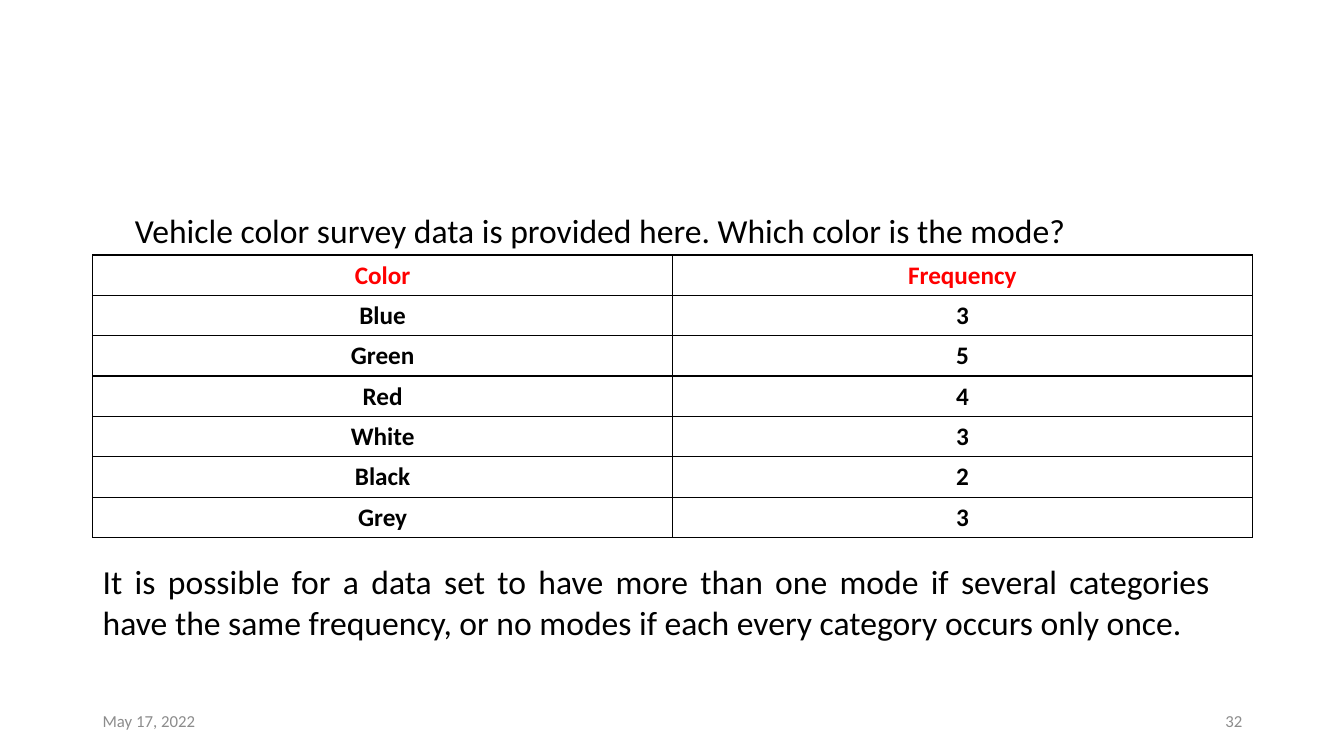
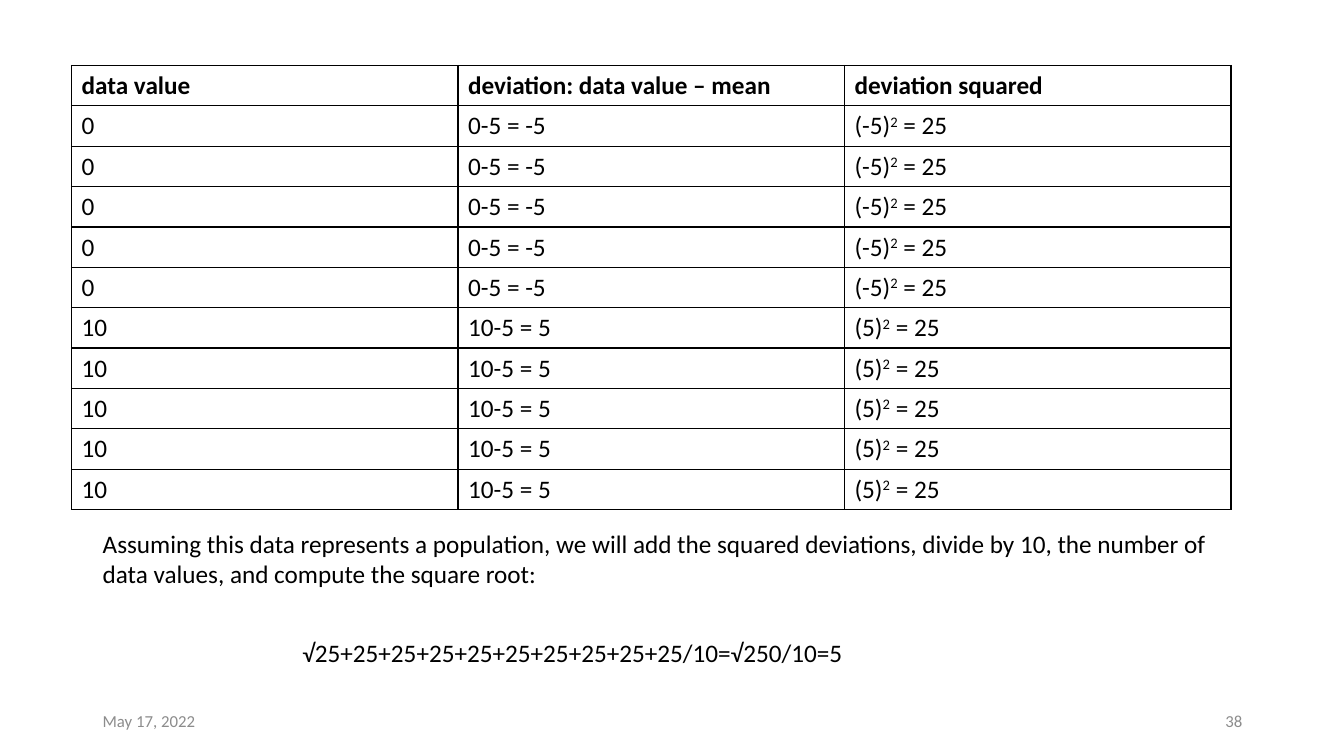
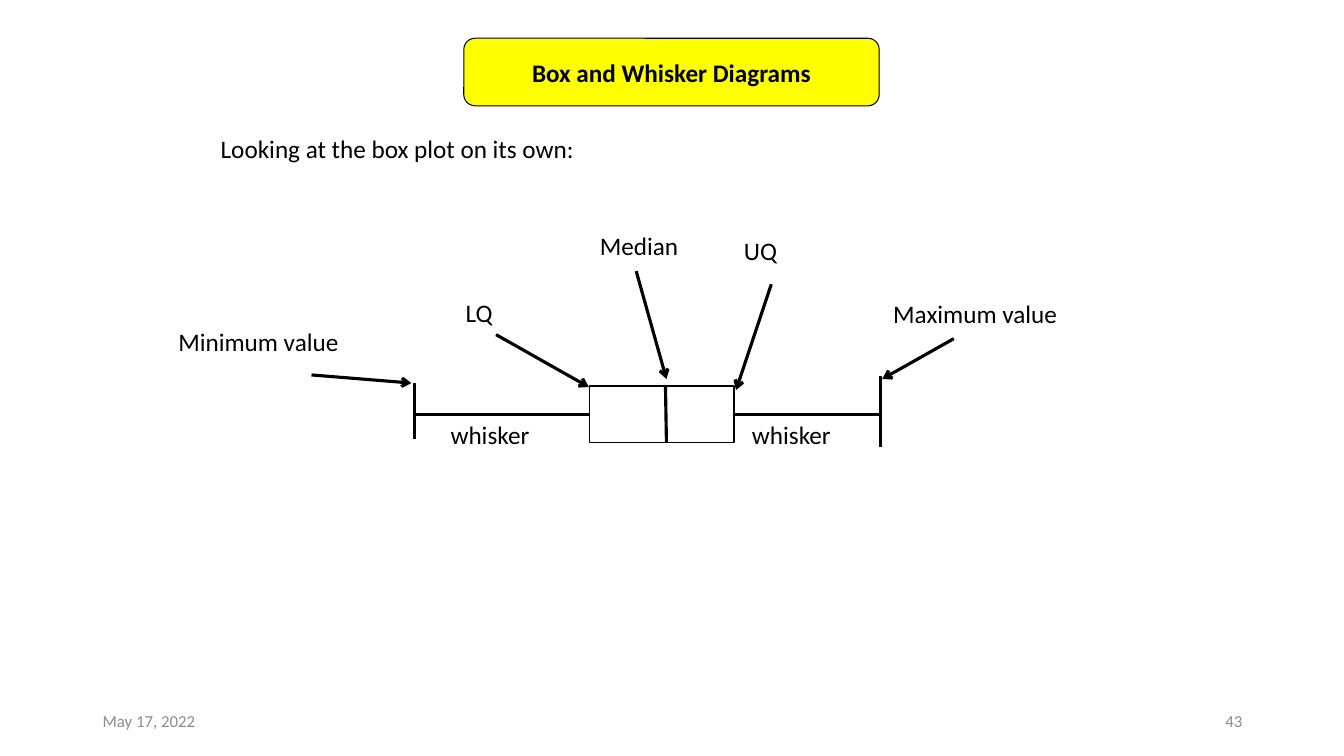
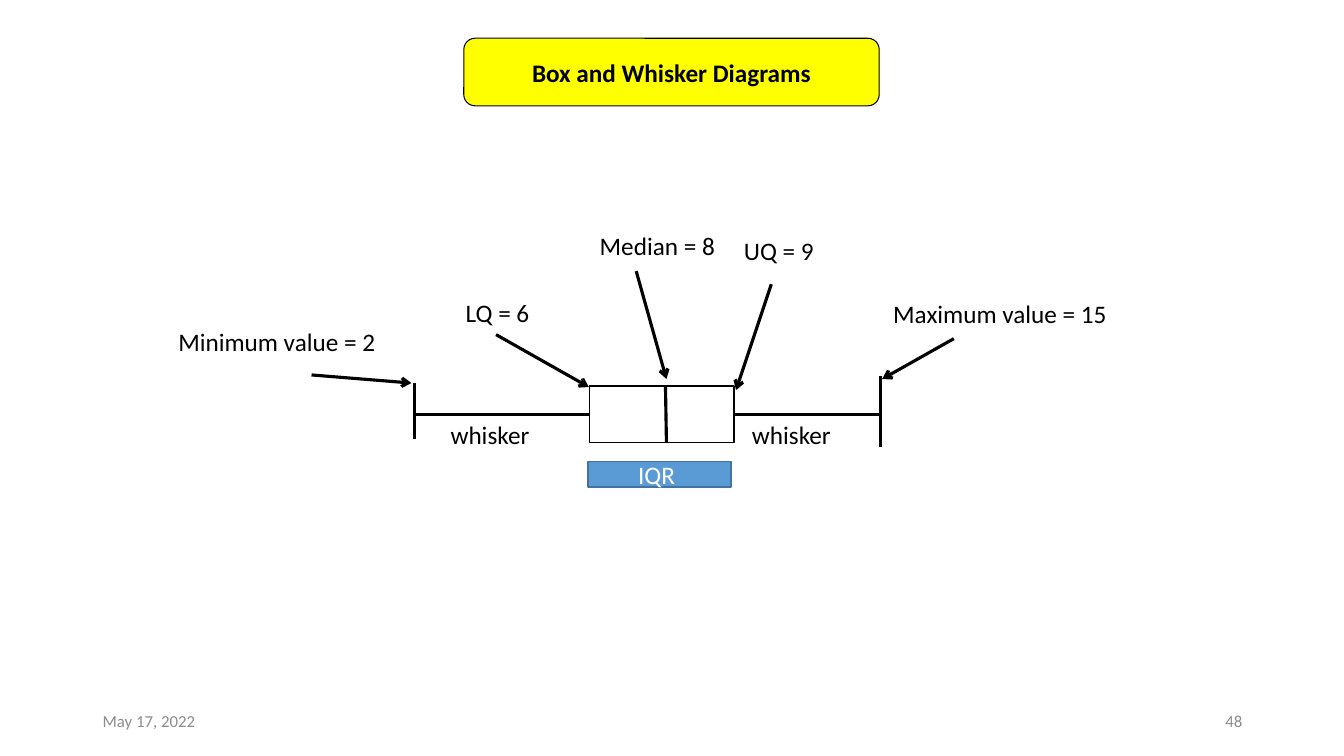
from lxml.etree import SubElement
from pptx import Presentation
from pptx.dml.color import RGBColor
from pptx.enum.shapes import MSO_CONNECTOR as Connector, MSO_SHAPE as Shape
from pptx.enum.text import MSO_ANCHOR as Anchor, MSO_AUTO_SIZE as AutoSize, PP_ALIGN as Align
from pptx.oxml.ns import qn
from pptx.util import Emu, Pt

FONT = "Calibri"
BLACK, WHITE, RED, GREY = "000000", "FFFFFF", "FF0000", "8C8C8C"
YELLOW, BLUE, DARK_BLUE = "FFFF00", "5B9BD5", "43739E"
LABEL_PLACES = [
    (167, 319, (309, 372, 408, 380)),
    (452, 290, (492, 332, 584, 384)),
    (585, 224, (631, 269, 661, 376)),
    (728, 229, (765, 282, 730, 387)),
    (876, 291, (946, 336, 875, 376)),
]


def px(value):
    """Turn px, a hundred to the inch, into EMU."""
    return Emu(value * 9144)


def color(code):
    """Return the colour for a hex string."""
    return RGBColor.from_string(code)


def write(frame, text, size=18, code=BLACK, bold=False, align=Align.LEFT):
    """Write one paragraph, raising the parts set between carets."""
    para = frame.paragraphs[0]
    first, *others = text.split("^")
    para.text = first
    for part in others:
        para.add_run().text = part
    para.alignment = align
    for index, span in enumerate(para.runs):
        span.font.name = FONT
        span.font.size = Pt(size)
        span.font.bold = bold
        span.font.color.rgb = color(code)
        if index % 2:
            span._r.get_or_add_rPr().set("baseline", "30000")


def add_text(page, area, text, wrap=True, **style):
    """Add a text box that grows with its text."""
    frame = page.shapes.add_textbox(*map(px, area)).text_frame
    frame.word_wrap = wrap
    frame.auto_size = AutoSize.SHAPE_TO_FIT_TEXT
    write(frame, text, **style)


def add_box(page, area, kind=Shape.RECTANGLE, fill=None, line=BLACK, weight=1):
    """Add an outlined shape without a shadow."""
    box = page.shapes.add_shape(kind, *map(px, area))
    box.shadow.inherit = False
    if fill:
        box.fill.solid()
        box.fill.fore_color.rgb = color(fill)
    else:
        box.fill.background()
    box.line.color.rgb = color(line)
    box.line.width = Pt(weight)
    return box


def add_line(page, ends, arrow=False):
    """Add a thick black line, with an arrowhead at its end if asked."""
    line = page.shapes.add_connector(Connector.STRAIGHT, *map(px, ends))
    line.line.color.rgb = color(BLACK)
    line.line.width = Pt(2.25)
    if arrow:
        SubElement(line.line._get_or_add_ln(), qn("a:tailEnd"), type="arrow")
    SubElement(line._element.spPr, qn("a:effectLst"))
    return line


def add_borders(cell):
    """Draw thin black borders around a cell."""
    for side in ("lnL", "lnR", "lnT", "lnB"):
        edge = SubElement(cell._tc.get_or_add_tcPr(), qn(f"a:{side}"), w=str(Pt(1)))
        SubElement(SubElement(edge, qn("a:solidFill")), qn("a:srgbClr"), val=BLACK)


def add_grid(page, area, rows, head_code=BLACK, bold_body=False, align=Align.LEFT):
    """Add a table with a bold head row and equal columns."""
    table = page.shapes.add_table(len(rows), len(rows[0]), *map(px, area)).table
    table.first_row = table.horz_banding = False
    for y, row in enumerate(rows):
        for x, text in enumerate(row):
            cell = table.cell(y, x)
            add_borders(cell)
            cell.fill.background()
            cell.vertical_anchor = Anchor.MIDDLE
            head = y == 0
            write(cell.text_frame, text, code=BLACK if y else head_code,
                  bold=head or bold_body, align=align)


def add_page(deck, number):
    """Add a blank page with its date and number at the foot."""
    page = deck.slides.add_slide(deck.slide_layouts[6])
    for left, text, align in ((92, "May 17, 2022", Align.LEFT), (942, number, Align.RIGHT)):
        frame = page.shapes.add_textbox(*map(px, (left, 695, 300, 40))).text_frame
        frame.word_wrap = True
        frame.vertical_anchor = Anchor.MIDDLE
        write(frame, text, size=12, code=GREY, align=align)
    return page


def add_box_plot(page, labels):
    """Draw the titled box plot with its five (text, width) labels."""
    title = add_box(page, (460, 38, 412, 67), Shape.ROUNDED_RECTANGLE, YELLOW, weight=0.75)
    title.text_frame.word_wrap = False
    title.text_frame.vertical_anchor = Anchor.MIDDLE
    write(title.text_frame, "Box and Whisker Diagrams", bold=True, align=Align.CENTER)

    quartiles = add_box(page, (585, 383, 143, 56))
    for ends in ((660, 382, 661, 439), (873, 373, 873, 443), (411, 380, 411, 436)):
        add_line(page, ends)
    add_line(page, (411, 411, 585, 411)).end_connect(quartiles, 1)
    add_line(page, (728, 411, 873, 411)).begin_connect(quartiles, 3)

    for (left, top, arrow), (text, width) in zip(LABEL_PLACES, labels):
        add_text(page, (left, top, width, 40), text, wrap=False)
        add_line(page, arrow, arrow=True)
    for left in (437, 736):
        add_text(page, (left, 411, 99, 40), "whisker", wrap=False)


def add_mode_page(deck):
    """Add the page on the mode of a colour survey."""
    page = add_page(deck, "32")
    rows = [("Color", "Frequency"), ("Blue", "3"), ("Green", "5"), ("Red", "4"),
            ("White", "3"), ("Black", "2"), ("Grey", "3")]
    add_grid(page, (92, 253, 1150, 280), rows, RED, True, Align.CENTER)
    add_text(page, (124, 203, 1007, 50),
             "Vehicle color survey data is provided here. Which color is the mode?", size=24)
    add_text(page, (92, 552, 1118, 91),
             "It is possible for a data set to have more than one mode if several categories "
             "have the same frequency, or no modes if each every category occurs only once.",
             size=24, align=Align.JUSTIFY)


def add_deviation_page(deck):
    """Add the page that works out a standard deviation."""
    page = add_page(deck, "38")
    rows = [("data value", "deviation: data value – mean", "deviation squared")]
    for value in [0] * 5 + [10] * 5:
        gap = value - 5
        rows.append((f"{value}", f"{value}-5 = {gap}", f"({gap})^2^ = {gap ** 2}"))
    add_grid(page, (71, 65, 1150, 440), rows)
    add_text(page, (92, 519, 1118, 71),
             "Assuming this data represents a population, we will add the squared deviations, "
             "divide by 10, the number of data values, and compute the square root:")
    add_text(page, (290, 627, 741, 40), "√25+25+25+25+25+25+25+25+25+25/10=√250/10=5")


def add_parts_page(deck):
    """Add the page that names the parts of a box plot."""
    page = add_page(deck, "43")
    add_text(page, (209, 127, 375, 40), "Looking at the box plot on its own:", wrap=False)
    add_box_plot(page, [("Minimum value", 181), ("LQ", 47), ("Median", 99), ("UQ", 53),
                        ("Maximum value", 185)])


def add_values_page(deck):
    """Add the page that gives the box plot its values."""
    page = add_page(deck, "48")
    add_box_plot(page, [("Minimum value = 2", 218), ("LQ = 6", 84), ("Median = 8", 136),
                        ("UQ = 9", 90), ("Maximum value = 15", 234)])
    span_box = add_box(page, (583, 458, 142, 25), fill=BLUE, line=DARK_BLUE)
    span_box.text_frame.vertical_anchor = Anchor.MIDDLE
    write(span_box.text_frame, "IQR ", code=WHITE, align=Align.CENTER)


def main():
    """Build the deck and save it."""
    deck = Presentation()
    deck.slide_width, deck.slide_height = px(1333), px(750)
    add_mode_page(deck)
    add_deviation_page(deck)
    add_parts_page(deck)
    add_values_page(deck)
    deck.save("out.pptx")


if __name__ == "__main__":
    main()
